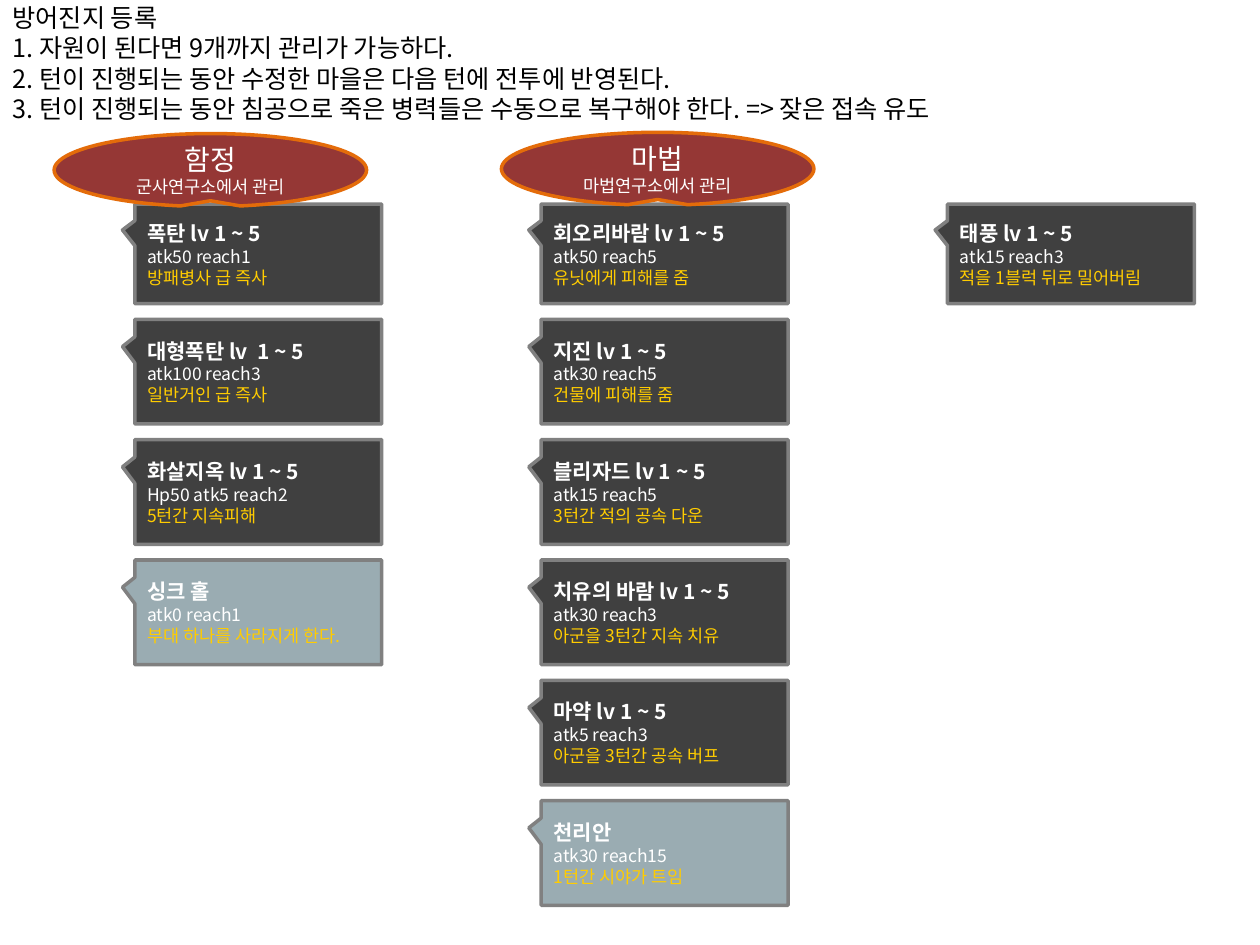
from dataclasses import dataclass

from lxml.etree import SubElement
from pptx import Presentation
from pptx.dml.color import RGBColor
from pptx.enum.shapes import MSO_SHAPE as Shape
from pptx.enum.text import MSO_ANCHOR as Anchor, MSO_AUTO_SIZE as AutoSize, PP_ALIGN as Align
from pptx.oxml.ns import qn
from pptx.util import Inches, Pt


@dataclass(frozen=True)
class Theme:
    font: str = "Noto Sans CJK KR"
    ink: str = "000000"
    light: str = "FFFFFF"
    effect: str = "FFCC00"
    card: str = "404040"
    special: str = "9AACB2"
    card_line: str = "808080"
    badge: str = "953735"
    badge_line: str = "E46C0A"
    title_size: float = 14.4
    badge_size: float = 16
    name_size: float = 12
    small_size: float = 10


theme = Theme()


def write(box, text, first=False, size=10, color=theme.light, bold=False, align=Align.LEFT):
    """Write one formatted paragraph into the box."""
    frame = box.text_frame
    para = frame.paragraphs[0] if first else frame.add_paragraph()
    para.alignment = align
    span = para.add_run()
    span.text = text
    span.font.size, span.font.bold, span.font.name = Pt(size), bold, theme.font
    span.font.color.rgb = RGBColor.from_string(color)
    SubElement(span.font._element, qn("a:ea"), typeface=theme.font)


def add_callout(page, kind, bounds, tail, fill, line):
    """Add an outlined callout whose tail ends at the given share of its size."""
    box = page.shapes.add_shape(kind, *(Inches(length) for length in bounds))
    box.adjustments[0], box.adjustments[1] = tail
    box.shadow.inherit = False
    box.fill.solid()
    box.fill.fore_color.rgb = RGBColor.from_string(fill)
    box.line.color.rgb = RGBColor.from_string(line)
    box.line.width = Pt(2)
    box.text_frame.word_wrap = True
    box.text_frame.vertical_anchor = Anchor.MIDDLE
    return box


deck = Presentation()
deck.slide_width, deck.slide_height = Inches(10), Inches(7.5)
page = deck.slides.add_slide(deck.slide_layouts[5])

# Title and rules
title = page.shapes.title
title.left, title.top, title.width, title.height = 0, 0, Inches(9.69), Inches(1)
title.text_frame.auto_size = AutoSize.NONE
title.text_frame.word_wrap = True
title.text_frame.vertical_anchor = Anchor.MIDDLE
rules = [
    "방어진지 등록",
    "1. 자원이 된다면 9개까지 관리가 가능하다.",
    "2. 턴이 진행되는 동안 수정한 마을은 다음 턴에 전투에 반영된다.",
    "3. 턴이 진행되는 동안 침공으로 죽은 병력들은 수동으로 복구해야 한다. => 잦은 접속 유도",
]
for index, rule in enumerate(rules):
    write(title, rule, first=index == 0, size=theme.title_size, color=theme.ink)

# Cards by column: name, stats, effect
columns = [
    [
        ("폭탄 lv 1 ~ 5", "atk50 reach1", "방패병사 급 즉사"),
        ("대형폭탄 lv  1 ~ 5", "atk100 reach3", "일반거인 급 즉사"),
        ("화살지옥 lv 1 ~ 5", "Hp50 atk5 reach2", "5턴간 지속피해"),
        ("싱크 홀", "atk0 reach1", "부대 하나를 사라지게 한다."),
    ],
    [
        ("회오리바람 lv 1 ~ 5", "atk50 reach5", "유닛에게 피해를 줌"),
        ("지진 lv 1 ~ 5", "atk30 reach5", "건물에 피해를 줌"),
        ("블리자드 lv 1 ~ 5", "atk15 reach5", "3턴간 적의 공속 다운"),
        ("치유의 바람 lv 1 ~ 5", "atk30 reach3", "아군을 3턴간 지속 치유"),
        ("마약 lv 1 ~ 5", "atk5 reach3", "아군을 3턴간 공속 버프"),
        ("천리안", "atk30 reach15", "1턴간 시야가 트임"),
    ],
    [("태풍 lv 1 ~ 5", "atk15 reach3", "적을 1블럭 뒤로 밀어버림")],
]
first_left, column_step = 1.07, 3.225
first_bottom, row_step = 2.41, 0.955
for column, cards in enumerate(columns):
    for row, (name, stats, effect) in enumerate(cards):
        height = 0.83 if row else 0.79
        left = first_left + column * column_step
        top = first_bottom + row * row_step - height
        fill = theme.card if "lv" in name else theme.special  # cards without levels
        card = add_callout(page, Shape.RECTANGULAR_CALLOUT, (left, top, 1.96, height),
                           (-0.55, -0.24), fill, theme.card_line)
        write(card, name, first=True, size=theme.name_size, bold=True)
        write(card, stats, size=theme.small_size)
        write(card, effect, size=theme.small_size, color=theme.effect)

# Column headings
headings = [
    (0.43, 1.06, "함정", "군사연구소에서 관리"),
    (3.98, 1.05, "마법", "마법연구소에서 관리"),
]
for left, top, name, keeper in headings:
    badge = add_callout(page, Shape.OVAL_CALLOUT, (left, top, 2.48, 0.58),
                        (0, 0.42), theme.badge, theme.badge_line)
    write(badge, name, first=True, size=theme.badge_size, align=Align.CENTER)
    write(badge, keeper, size=theme.small_size, align=Align.CENTER)

deck.save("out.pptx")
